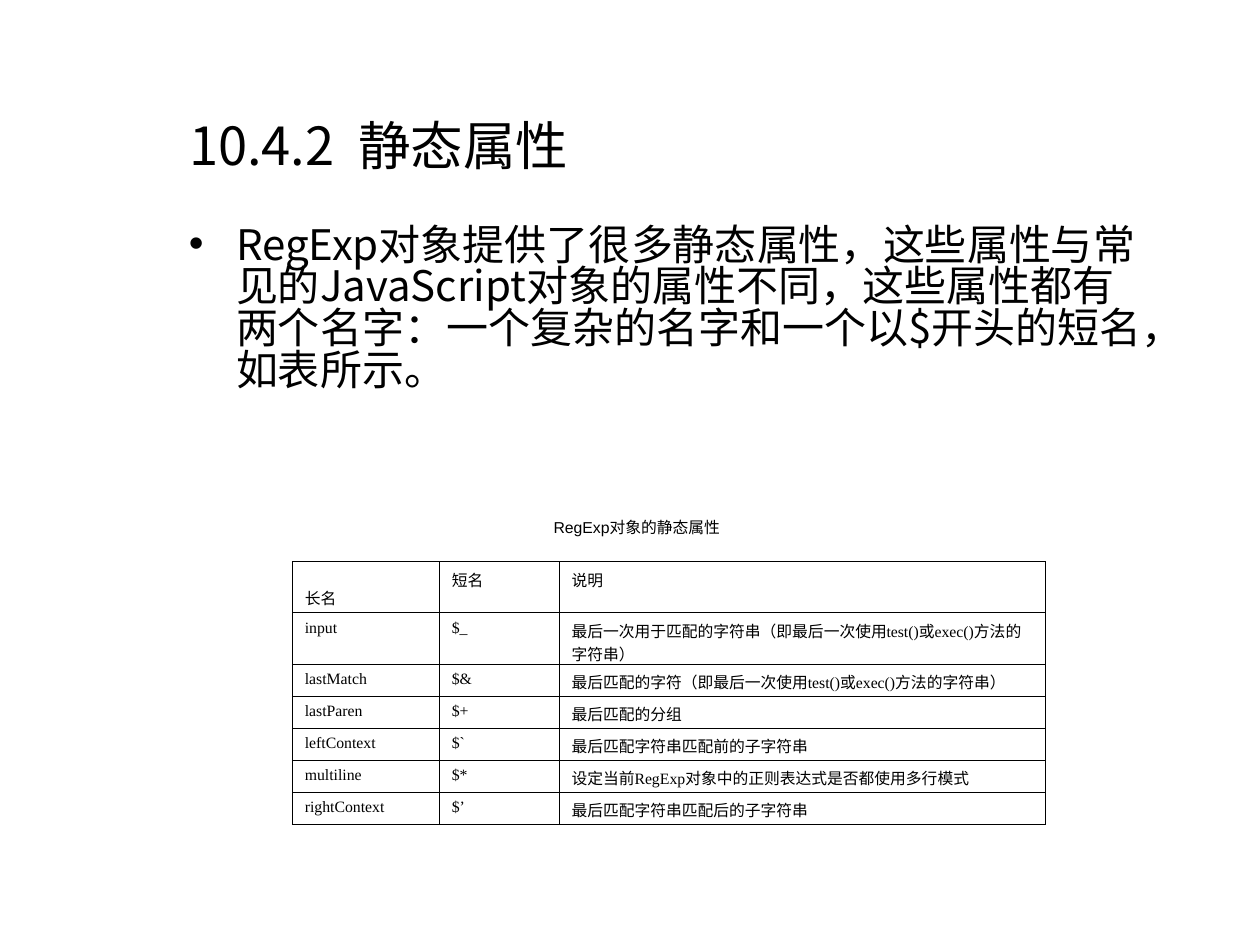
from dataclasses import dataclass

from lxml.etree import SubElement
from pptx import Presentation
from pptx.dml.color import RGBColor
from pptx.enum.text import MSO_ANCHOR as ANCHOR, MSO_AUTO_SIZE as AUTO, PP_ALIGN as ALIGN
from pptx.oxml.ns import qn
from pptx.util import Pt


@dataclass(frozen=True)
class Theme:
    ink: RGBColor = RGBColor(0, 0, 0)
    sans: str = "Noto Sans CJK SC"
    caption_font: str = "Arial"
    table_font: str = "Times New Roman"
    title: float = 30
    body: float = 24
    small: float = 9
    border: float = 0.45


THEME = Theme()

TITLE = "10.4.2  静态属性"
BODY = ("RegExp对象提供了很多静态属性，这些属性与常见的JavaScript对象的属性不同，"
        "这些属性都有两个名字：一个复杂的名字和一个以$开头的短名，如表所示。")
CAPTION = "RegExp对象的静态属性"
ROWS = [
    ("长名", "短名", "说明"),
    ("input", "$_", "最后一次用于匹配的字符串（即最后一次使用test()或exec()方法的字符串）"),
    ("lastMatch", "$&", "最后匹配的字符（即最后一次使用test()或exec()方法的字符串）"),
    ("lastParen", "$+", "最后匹配的分组"),
    ("leftContext", "$`", "最后匹配字符串匹配前的子字符串"),
    ("multiline", "$*", "设定当前RegExp对象中的正则表达式是否都使用多行模式"),
    ("rightContext", "$’", "最后匹配字符串匹配后的子字符串"),
]
COL_WIDTHS = (84, 68.4, 278)
TALL_ROW, ROW = 29.2, 18.3


def write(tf, text, *, size, font=THEME.sans, align=ALIGN.LEFT, spacing=None, bullet=None):
    p = tf.paragraphs[0]
    p.alignment = align
    if spacing:
        p.line_spacing = spacing
    if bullet:
        pPr = p._p.get_or_add_pPr()
        indent = Pt(27)
        pPr.set("marL", str(indent))
        pPr.set("indent", str(-indent))
        SubElement(pPr, qn("a:buFont"), typeface="Arial")
        SubElement(pPr, qn("a:buChar"), char=bullet)
    r = p.add_run()
    r.text = text
    r.font.size = Pt(size)
    r.font.name = font
    r.font.color.rgb = THEME.ink
    SubElement(r._r.get_or_add_rPr(), qn("a:ea"), typeface=THEME.sans)


def add_title(slide, x, y, w, h):
    sp = slide.shapes.title
    sp.left, sp.top, sp.width, sp.height = Pt(x), Pt(y), Pt(w), Pt(h)
    tf = sp.text_frame
    tf.auto_size = AUTO.NONE
    tf.vertical_anchor = ANCHOR.MIDDLE
    write(tf, TITLE, size=THEME.title)


def add_body(slide, x, y, w, h):
    tf = slide.shapes.add_textbox(Pt(x), Pt(y), Pt(w), Pt(h)).text_frame
    tf.word_wrap = True
    write(tf, BODY, size=THEME.body, spacing=0.83, bullet="•")


def add_caption(slide, x, y, w, h):
    tf = slide.shapes.add_textbox(Pt(x), Pt(y), Pt(w), Pt(h)).text_frame
    tf.word_wrap = False
    tf.vertical_anchor = ANCHOR.MIDDLE
    write(tf, CAPTION, size=THEME.small, font=THEME.caption_font, align=ALIGN.CENTER)


def set_borders(cell):
    tcPr = cell._tc.get_or_add_tcPr()
    for side in ("lnL", "lnR", "lnT", "lnB"):
        ln = SubElement(tcPr, qn(f"a:{side}"), w=str(Pt(THEME.border)))
        fill = SubElement(ln, qn("a:solidFill"))
        SubElement(fill, qn("a:srgbClr"), val=str(THEME.ink))


def add_property_table(slide, x, y):
    heights = [TALL_ROW] * 2 + [ROW] * (len(ROWS) - 2)
    table = slide.shapes.add_table(len(ROWS), len(COL_WIDTHS), Pt(x), Pt(y),
                                   Pt(sum(COL_WIDTHS)), Pt(sum(heights))).table
    table.first_row = table.horz_banding = False
    for col, width in zip(table.columns, COL_WIDTHS):
        col.width = Pt(width)
    for row, height, texts in zip(table.rows, heights, ROWS):
        row.height = Pt(height)
        for cell, text in zip(row.cells, texts):
            cell.margin_left = cell.margin_right = Pt(7.2)
            cell.margin_top, cell.margin_bottom = Pt(3.6), Pt(0)
            set_borders(cell)
            cell.fill.background()
            write(cell.text_frame, text, size=THEME.small, font=THEME.table_font)
    corner = table.cell(0, 0)
    corner.vertical_anchor = ANCHOR.BOTTOM
    corner.margin_bottom = Pt(2)


def main():
    prs = Presentation()
    prs.slide_width, prs.slide_height = Pt(720), Pt(540)
    slide = prs.slides.add_slide(prs.slide_layouts[5])
    add_title(slide, 100.8, 54, 558, 57.6)
    add_body(slide, 100.8, 126, 559.4, 365)
    add_caption(slide, 308, 292.3, 111.6, 18)
    add_property_table(slide, 167, 321)
    prs.save("out.pptx")


if __name__ == "__main__":
    main()
